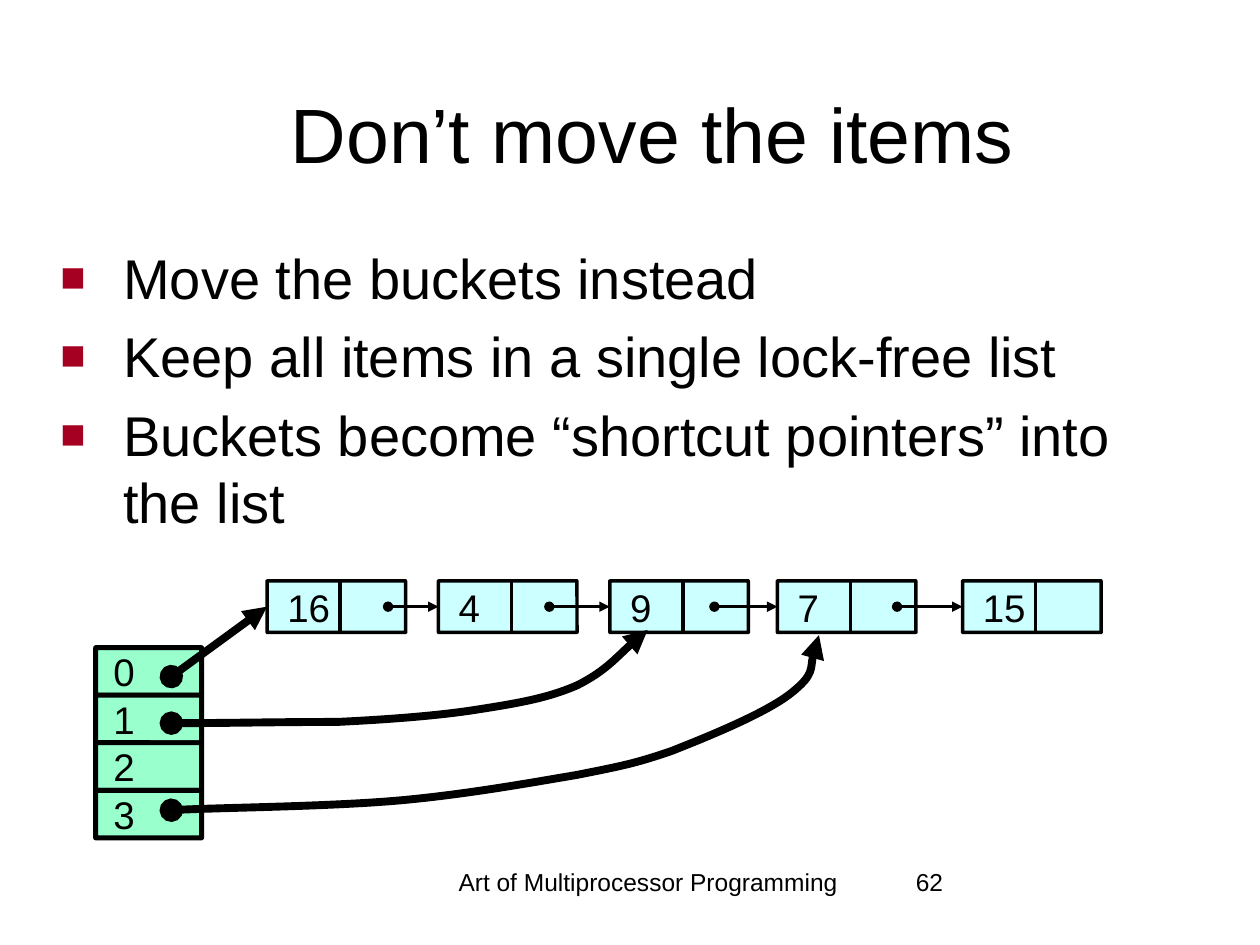
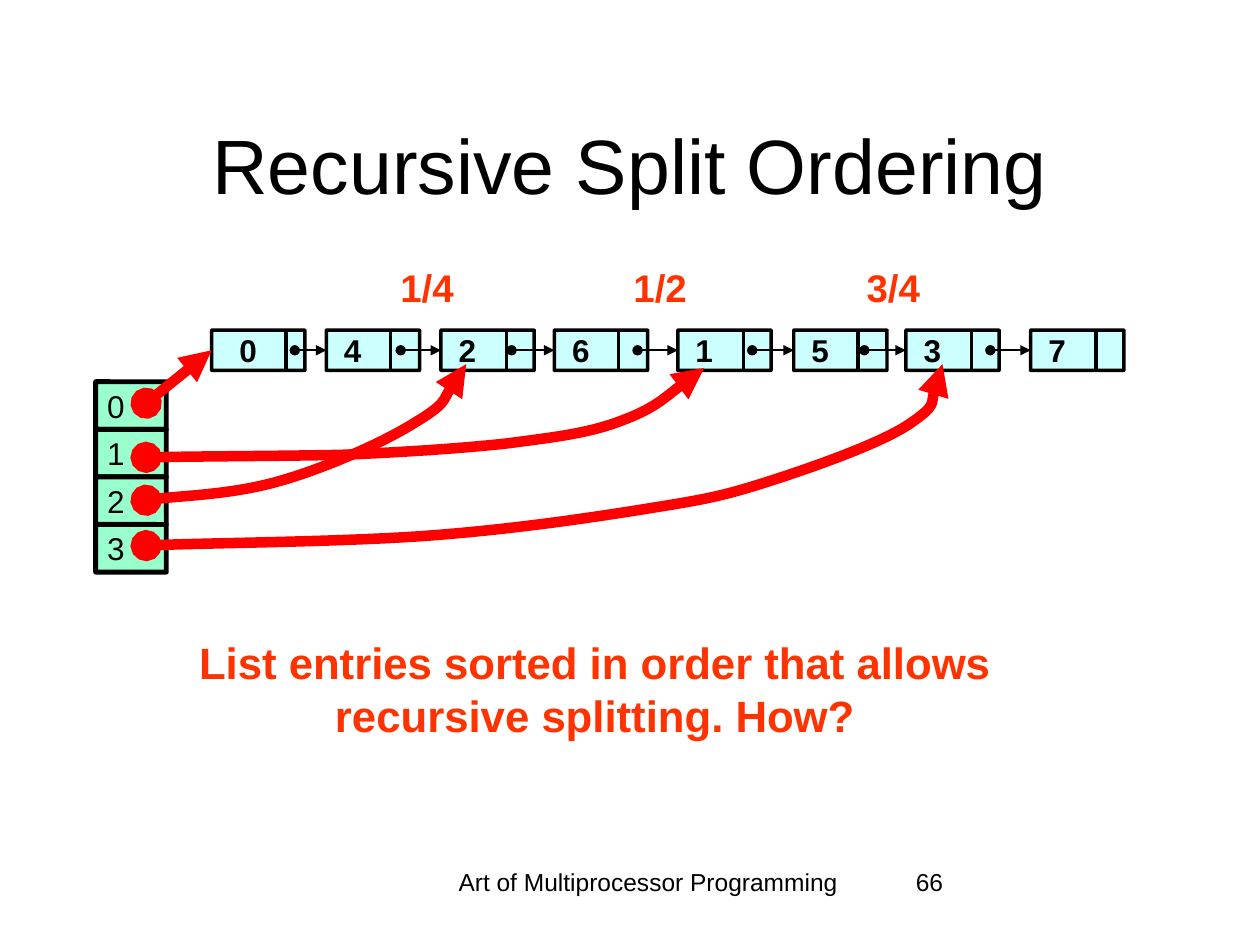
from lxml.etree import SubElement
from pptx import Presentation
from pptx.dml.color import RGBColor
from pptx.enum.shapes import MSO_CONNECTOR, MSO_SHAPE
from pptx.enum.text import MSO_ANCHOR, PP_ALIGN
from pptx.oxml.ns import qn
from pptx.util import Inches, Pt

BLACK = RGBColor(0, 0, 0)
INK = RGBColor(0x02, 0x02, 0x02)
CRIMSON = RGBColor(0xA5, 0x00, 0x21)
ORANGE = RGBColor(0xFF, 0x33, 0x00)
RED = RGBColor(0xFF, 0, 0)
NODE_FILL = RGBColor(0xCC, 0xFF, 0xFF)
BUCKET_FILL = RGBColor(0x99, 0xFF, 0xCC)
FONT = "Arial"
FOOTER = "Art of Multiprocessor Programming"
EDGE = 1.98


def inches(values):
    return [Inches(v) for v in values]


def add_run(p, text, size, color=BLACK, bold=False):
    r = p.add_run()
    r.text = text
    r.font.name = FONT
    r.font.size = Pt(size)
    r.font.bold = bold
    r.font.color.rgb = color


def add_text(s, box, text, size, align=PP_ALIGN.LEFT, color=BLACK, bold=False,
             anchor=MSO_ANCHOR.TOP):
    tf = s.shapes.add_textbox(*inches(box)).text_frame
    tf.word_wrap = True
    tf.vertical_anchor = anchor
    p = tf.paragraphs[0]
    p.alignment = align
    add_run(p, text, size, color, bold)


def add_cell(s, box, label, indent, size, fill, width, color, bold=False):
    sp = s.shapes.add_shape(MSO_SHAPE.ROUNDED_RECTANGLE, *inches(box))
    sp.adjustments[0] = 0.004
    sp.shadow.inherit = False
    sp.fill.solid()
    sp.fill.fore_color.rgb = fill
    sp.line.color.rgb = BLACK
    sp.line.width = Pt(width)
    tf = sp.text_frame
    tf.margin_left = Inches(indent)
    tf.margin_top = tf.margin_right = tf.margin_bottom = 0
    tf.vertical_anchor = MSO_ANCHOR.MIDDLE
    p = tf.paragraphs[0]
    p.alignment = PP_ALIGN.LEFT
    add_run(p, label, size, color, bold)
    return sp


def style_line(sp, color, width, pointer=True):
    sp.line.color.rgb = color
    sp.line.width = Pt(width)
    if pointer:
        ln = sp._element.spPr.find(qn("a:ln"))
        SubElement(ln, qn("a:headEnd"), type="oval")
        SubElement(ln, qn("a:tailEnd"), type="triangle")


def add_line(s, start, end, color, width, target=None):
    sp = s.shapes.add_connector(MSO_CONNECTOR.STRAIGHT, *inches(start + end))
    style_line(sp, color, width, pointer=target is not None)
    SubElement(sp._element.spPr, qn("a:effectLst"))
    if target is not None:
        sp.end_connect(target, 1)


def add_pointer(s, start, node, color, width):
    end = (node.left.inches, (node.top + node.height // 2) / Inches(1))
    add_line(s, start, end, color, width, node)


def add_curve(s, points, color, width):
    start, *rest = [tuple(inches(pt)) for pt in points]
    builder = s.shapes.build_freeform(*start)
    builder.add_line_segments(rest, close=False)
    sp = builder.convert_to_shape()
    outline = sp._element.find(".//" + qn("a:path"))
    segments = outline.findall(qn("a:lnTo"))
    for i in range(0, len(segments), 3):
        bezier = SubElement(outline, qn("a:cubicBezTo"))
        for segment in segments[i:i + 3]:
            bezier.append(segment[0])
            outline.remove(segment)
    sp.shadow.inherit = False
    sp.fill.background()
    style_line(sp, color, width)


def add_list(s, top, node_size, nodes, size, color, bold, indent, width):
    w, h = node_size
    cells = []
    for label, left, split, _ in nodes:
        cells.append(add_cell(s, (left, top, w, h), label, indent, size,
                              NODE_FILL, EDGE, color, bold))
        x = left + split
        add_line(s, (x, top + 0.01), (x, top + h), BLACK, EDGE)
    for (_, left, _, dot), target in zip(nodes, cells[1:]):
        add_pointer(s, (left + dot, top + h / 2), target, BLACK, width)
    return cells


def add_buckets(s, box, size, color, indent):
    left, top, w, h = box
    row = h / 4
    for i in range(4):
        add_cell(s, (left, top + i * row, w, row), str(i), indent, size,
                 BUCKET_FILL, 2.83, color)


def add_bullets(s, box, items):
    tf = s.shapes.add_textbox(*inches(box)).text_frame
    tf.word_wrap = True
    tf.margin_top = Inches(0.12)
    for i, item in enumerate(items):
        p = tf.paragraphs[0] if i == 0 else tf.add_paragraph()
        pPr = p._p.get_or_add_pPr()
        pPr.set("marL", str(Inches(0.5)))
        pPr.set("indent", str(-Inches(0.5)))
        if i:
            p.space_before = Pt(6.4)
        color = SubElement(pPr, qn("a:buClr"))
        SubElement(color, qn("a:srgbClr"), val=str(CRIMSON))
        SubElement(pPr, qn("a:buSzPct"), val="75000")
        SubElement(pPr, qn("a:buFont"), typeface=FONT)
        SubElement(pPr, qn("a:buChar"), char="■")
        add_run(p, item, 32)


def new_slide(prs, title, title_box, number):
    s = prs.slides.add_slide(prs.slide_layouts[6])
    add_text(s, (3.42, 6.83, 3.45, 0.5), FOOTER, 14, PP_ALIGN.CENTER)
    add_text(s, (7.17, 6.83, 2.08, 0.5), number, 14)
    add_text(s, title_box, title, 44, PP_ALIGN.CENTER, anchor=MSO_ANCHOR.MIDDLE)
    return s


def shortcut_slide(prs):
    s = new_slide(prs, "Don’t move the items", (0.91, 0.45, 8.54, 1.21), "62")
    add_bullets(s, (0.38, 1.81, 9.15, 2.49), [
        "Move the buckets instead",
        "Keep all items in a single lock-free list",
        "Buckets become “shortcut pointers” into the list",
    ])
    nodes = [("16", 2.12, 0.58, 0.96), ("4", 3.48, 0.58, 0.88),
             ("9", 4.84, 0.58, 0.83), ("7", 6.17, 0.58, 0.95),
             ("15", 7.64, 0.58, None)]
    cells = add_list(s, 4.61, (1.1, 0.41), nodes, 22, BLACK, False, 0.16, EDGE)
    add_buckets(s, (0.76, 5.14, 0.84, 1.51), 22, BLACK, 0.14)
    add_pointer(s, (1.36, 5.37), cells[0], BLACK, 4.5)
    add_curve(s, [(1.36, 5.74), (1.8, 5.74), (2.24, 5.73), (2.68, 5.73),
                  (3.09, 5.71), (3.49, 5.68), (3.8, 5.63),
                  (4.12, 5.58), (4.35, 5.54), (4.58, 5.44),
                  (4.8, 5.33), (5.02, 5.09), (5.14, 5)], BLACK, 4.5)
    add_curve(s, [(1.36, 6.43), (1.67, 6.41), (2.66, 6.4), (3.2, 6.35),
                  (3.73, 6.3), (4.22, 6.21), (4.58, 6.15),
                  (4.93, 6.08), (5.04, 6.06), (5.33, 5.96),
                  (5.61, 5.85), (6.08, 5.66), (6.28, 5.5),
                  (6.47, 5.35), (6.45, 5.13), (6.5, 5.04)], BLACK, 4.5)


def split_order_slide(prs):
    s = new_slide(prs, "Recursive Split Ordering", (0.75, 0.67, 8.5, 1.25), "66")
    nodes = [("0", 1.68, 0.59, 0.66), ("4", 2.59, 0.51, 0.59),
             ("2", 3.5, 0.52, 0.56), ("6", 4.4, 0.51, 0.66),
             ("1", 5.38, 0.52, 0.59), ("5", 6.3, 0.51, 0.56),
             ("3", 7.19, 0.52, 0.67), ("7", 8.18, 0.52, None)]
    cells = add_list(s, 2.62, (0.74, 0.32), nodes, 18, INK, True, 0.14, 1.23)
    cells[0].text_frame.margin_left = Inches(0.22)
    add_buckets(s, (0.76, 3.03, 0.56, 1.51), 18, INK, 0.09)
    add_pointer(s, (1.16, 3.2), cells[0], RED, 6)
    add_curve(s, [(1.16, 3.63), (1.68, 3.62), (2.19, 3.62), (2.71, 3.61),
                  (3.18, 3.59), (3.65, 3.56), (4.02, 3.52),
                  (4.4, 3.47), (4.67, 3.44), (4.93, 3.34),
                  (5.2, 3.24), (5.46, 3.01), (5.59, 2.92)], RED, 6)
    add_curve(s, [(1.16, 4.33), (1.54, 4.31), (2.76, 4.3), (3.42, 4.25),
                  (4.08, 4.2), (4.68, 4.11), (5.12, 4.04),
                  (5.55, 3.97), (5.69, 3.95), (6.04, 3.84),
                  (6.39, 3.73), (6.97, 3.53), (7.21, 3.37),
                  (7.45, 3.21), (7.43, 2.99), (7.48, 2.89)], RED, 6)
    add_curve(s, [(1.16, 3.97), (1.34, 3.94), (1.86, 3.92), (2.21, 3.82),
                  (2.57, 3.72), (3.05, 3.51), (3.3, 3.35),
                  (3.55, 3.2), (3.62, 2.99), (3.7, 2.89)], RED, 6)
    for i, fraction in enumerate(["1/4", "1/2", "3/4"]):
        add_text(s, (3.07 + i * 1.85, 2.05, 0.63, 0.46), fraction, 22,
                 PP_ALIGN.RIGHT, ORANGE, True)
    add_text(s, (0.99, 5, 7.46, 0.93),
             "List entries sorted in order that allows recursive splitting. How?",
             25, PP_ALIGN.CENTER, ORANGE, True)


def main():
    prs = Presentation()
    prs.slide_width, prs.slide_height = Inches(10), Inches(7.5)
    shortcut_slide(prs)
    split_order_slide(prs)
    prs.save("out.pptx")


if __name__ == "__main__":
    main()
